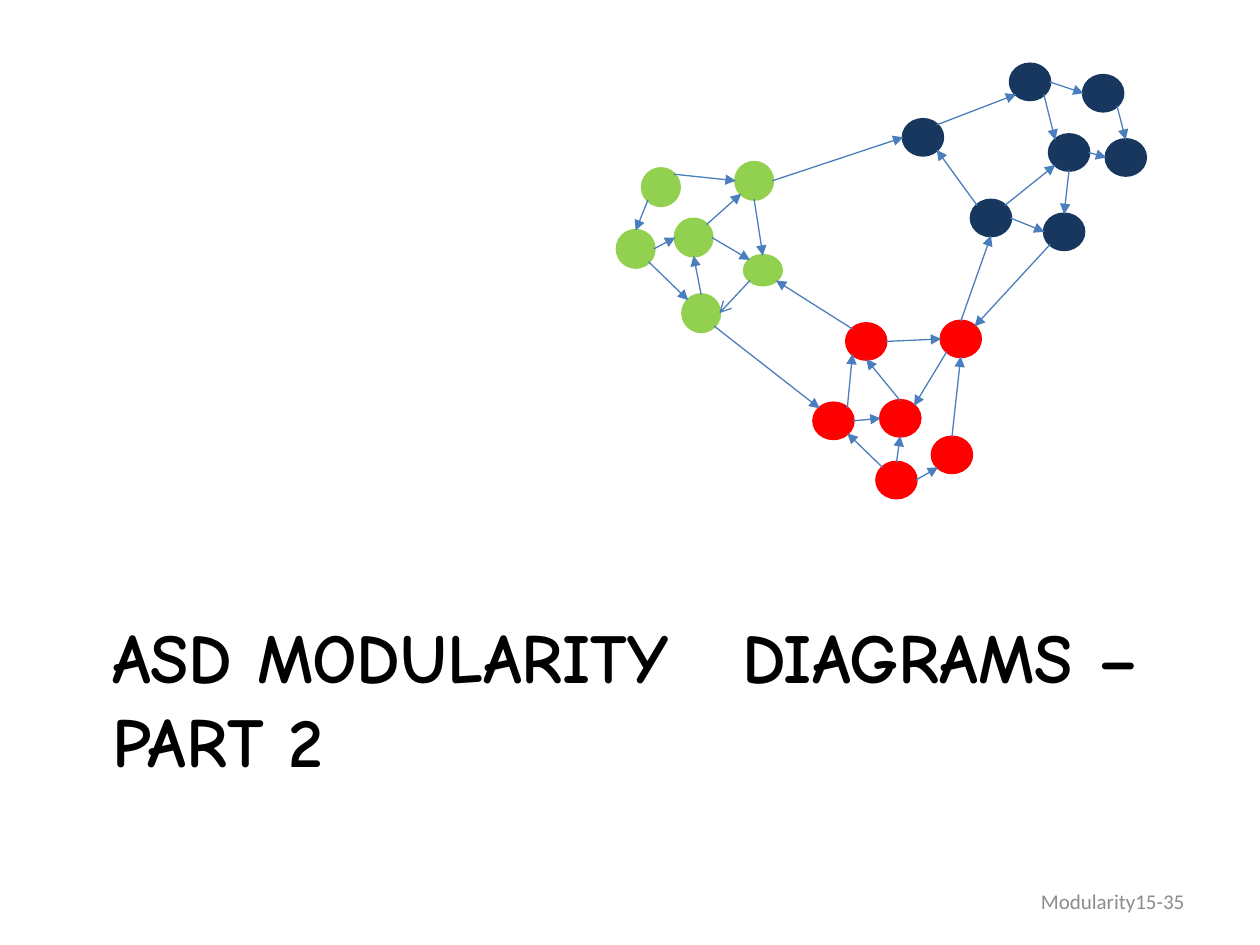
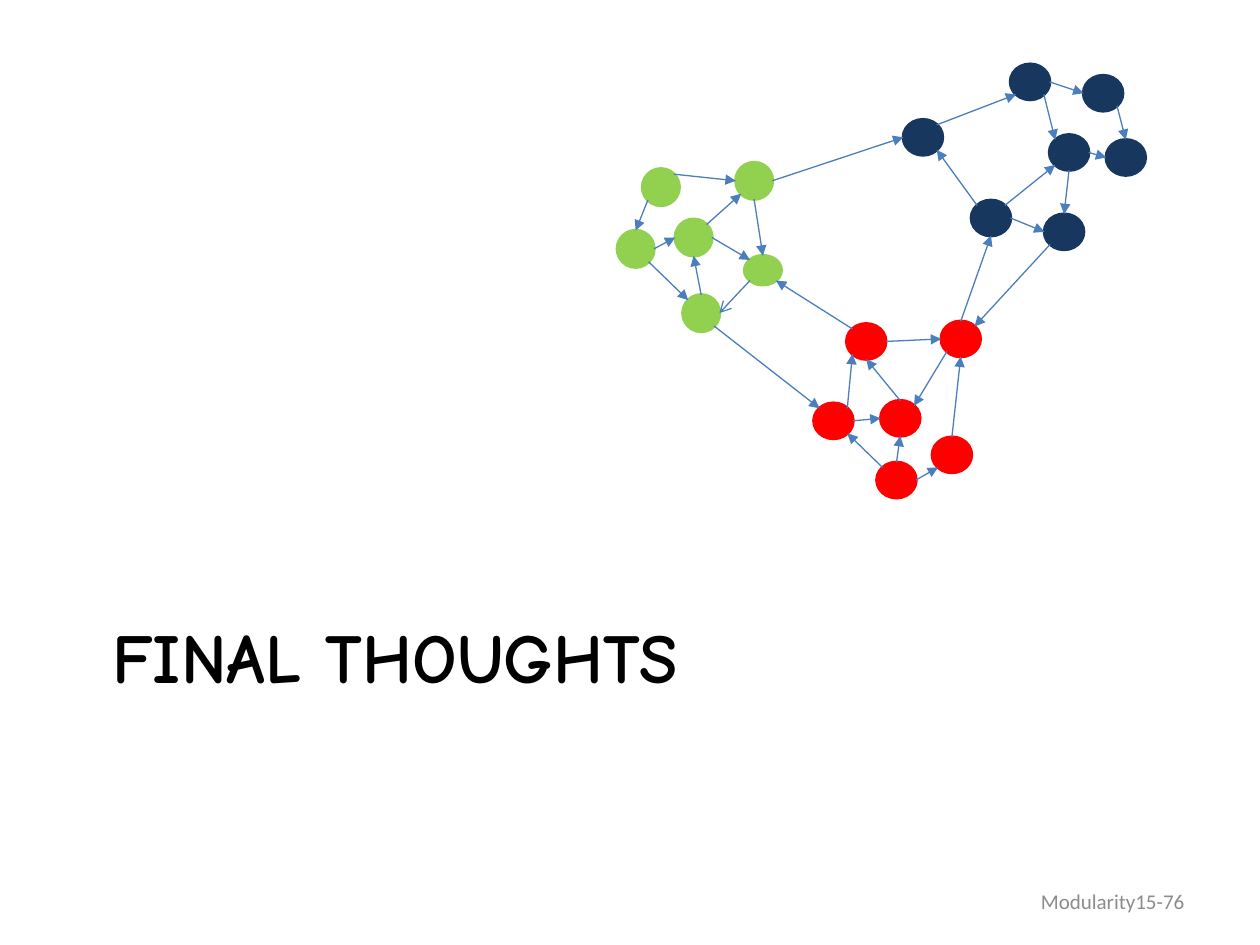
"""Build two section slides that share a network of three modules."""
from dataclasses import dataclass
from math import sqrt

from lxml.etree import SubElement as Sub
from pptx import Presentation
from pptx.dml.color import RGBColor as Rgb
from pptx.enum.shapes import MSO_CONNECTOR as Conn, MSO_SHAPE as Kind
from pptx.enum.text import MSO_ANCHOR as Anchor, MSO_AUTO_SIZE as Fit, PP_ALIGN as Align
from pptx.oxml.ns import qn
from pptx.util import Inches, Pt

SLIDES = [
    ("ASD MODULARITY \tDIAGRAMS – PART 2", "Modularity15-35"),
    ("FINAL THOUGHTS", "Modularity15-76"),
]

MODULES = [
    ("17375E", (0.31, 0.28), {
        "a": (7.17, 0.95), "b": (8.02, 0.51), "c": (8.6, 0.6), "d": (8.78, 1.11),
        "e": (8.33, 1.07), "f": (8.29, 1.7), "g": (7.71, 1.59)}),
    ("FF0000", (0.31, 0.28), {
        "h": (7.47, 2.55), "i": (7.4, 3.47), "j": (6.99, 3.18),
        "k": (6.96, 3.67), "l": (6.46, 3.2), "m": (6.72, 2.57)}),
    ("92D050", (0.29, 0.23), {"n": (5.91, 2.03)}),
    ("92D050", (0.29, 0.29), {
        "o": (5.84, 1.29), "p": (5.36, 1.74), "q": (5.1, 1.34),
        "r": (4.9, 1.83), "s": (5.42, 2.34)}),
]

LINKS = [
    "b E c W", "b SE e NW", "c SE d N", "e E d W", "e S f N", "g NE e SW",
    "g NW a SE", "g E f W", "a NE b SW", "o E a W", "q NE o W", "q SW r N",
    "r E p W", "p NE o SW", "o S n N", "n SW s E", "s N p S", "p E n NW",
    "r SE s NW", "m NW n SE", "s SE l NW", "l NE m SW", "m E h W", "h SW j NE",
    "i N h S", "k E i SW", "k N j S", "j N m S", "k NW l SE", "l E j W",
    "h N g S", "f SW h NE",
]
OPEN = {"n SW s E"}


@dataclass(frozen=True)
class Theme:
    """Colours, fonts, type sizes and line widths."""
    ink: str = "000000"
    mute: str = "8C8C8C"
    link: str = "4B7EBC"
    head: str = "Comic Neue"
    body: str = "Calibri"
    big: int = 40
    small: int = 12
    rim: float = 2
    thin: float = 0.75


T = Theme()
SIZE = (10, 7.5)
TITLE = (0.79, 4.82, 8.5, 1.49)
FOOT = (7.17, 6.95, 2.33, 0.4)


def inch(vals):
    """Turn numbers into lengths."""
    return [Inches(v) for v in vals]


def write(frame, text, face, size, tint, bold, side, anchor):
    """Fill a text frame with one styled paragraph."""
    frame.text = text
    frame.word_wrap = True
    frame.auto_size = Fit.NONE
    frame.vertical_anchor = anchor
    para = frame.paragraphs[0]
    para.alignment = side
    for run in para.runs:
        font = run.font
        font.name, font.size, font.bold = face, Pt(size), bold
        font.color.rgb = Rgb.from_string(tint)


def stroke(line, tint, width):
    """Set the colour and width of a line."""
    line.color.rgb = Rgb.from_string(tint)
    line.width = Pt(width)


def site(box, side):
    """Find the point of an ellipse that faces a compass side."""
    x, y, w, h = box
    dx = ("E" in side) - ("W" in side)
    dy = ("S" in side) - ("N" in side)
    reach = 2 * sqrt(dx * dx + dy * dy)
    return x + w / 2 + w * dx / reach, y + h / 2 + h * dy / reach


def network(slide):
    """Draw the nodes of each module and the arrows that link them."""
    parts = slide.shapes.add_group_shape().shapes
    boxes = {}
    for tint, size, nodes in MODULES:
        for name, spot in nodes.items():
            boxes[name] = spot + size
            node = parts.add_shape(Kind.OVAL, *inch(boxes[name]))
            node.shadow.inherit = False
            node.fill.solid()
            node.fill.fore_color.rgb = Rgb.from_string(tint)
            stroke(node.line, tint, T.rim)
    for link in LINKS:
        src, out, dst, into = link.split()
        ends = site(boxes[src], out) + site(boxes[dst], into)
        edge = parts.add_connector(Conn.STRAIGHT, *inch(ends))
        stroke(edge.line, T.link, T.thin)
        props = edge._element.spPr
        tip = "arrow" if link in OPEN else "triangle"
        Sub(props.find(qn("a:ln")), qn("a:tailEnd"), type=tip)
        Sub(props, qn("a:effectLst"))


def build():
    """Make and save the deck."""
    deck = Presentation()
    deck.slide_width, deck.slide_height = inch(SIZE)
    for title, foot in SLIDES:
        slide = deck.slides.add_slide(deck.slide_layouts[5])
        head = slide.shapes.title
        head.left, head.top, head.width, head.height = inch(TITLE)
        write(head.text_frame, title, T.head, T.big, T.ink, True,
              Align.LEFT, Anchor.TOP)
        network(slide)
        note = slide.shapes.add_textbox(*inch(FOOT))
        write(note.text_frame, foot, T.body, T.small, T.mute, False,
              Align.RIGHT, Anchor.MIDDLE)
    deck.save("out.pptx")


if __name__ == "__main__":
    build()
